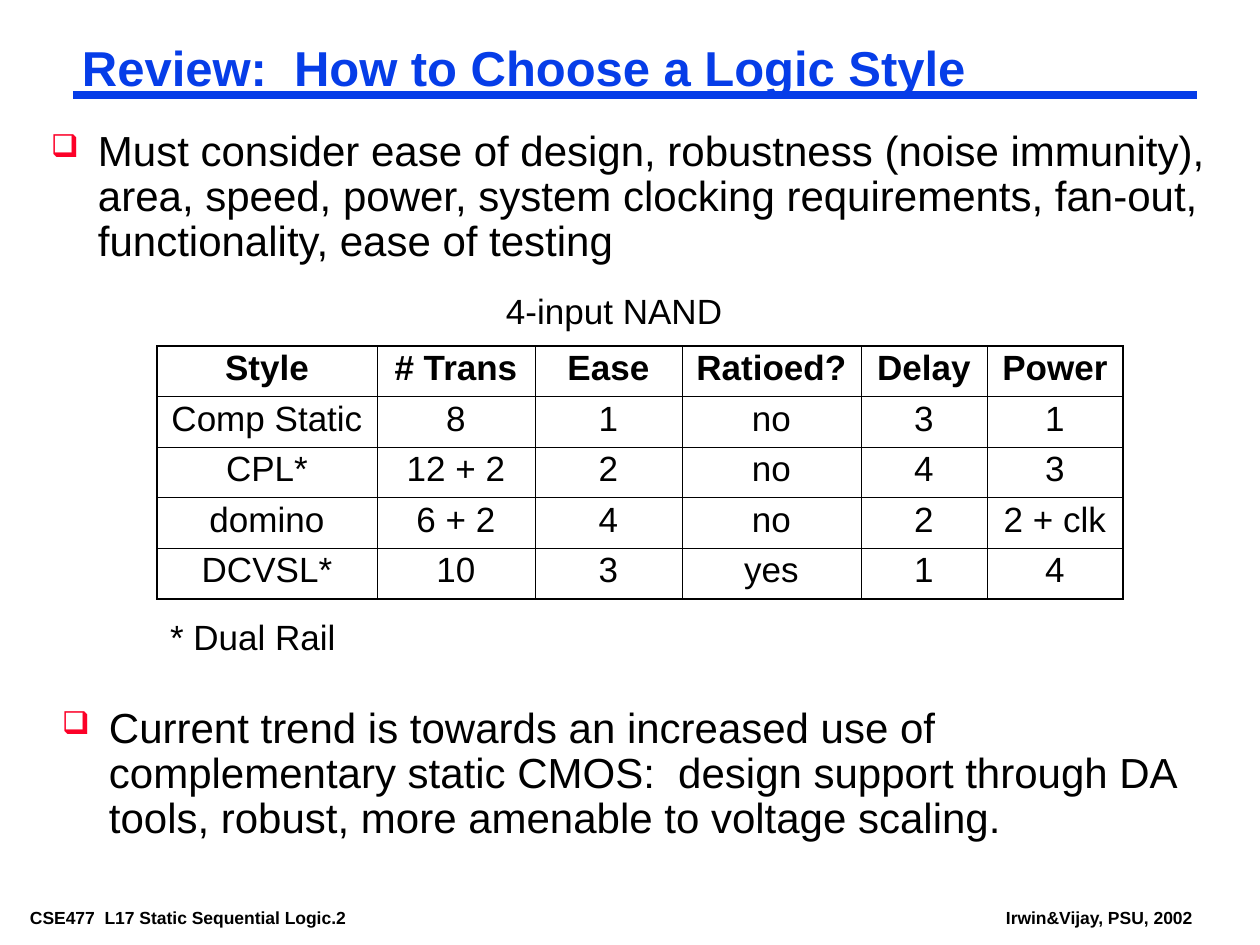
import pptx
import pptx.util
import pptx.dml.color
import pptx.enum.shapes
import pptx.enum.text
import pptx.oxml
import pptx.oxml.ns
import lxml.etree

SCALE = 914400 / 126
BLUE = "063DE8"
RED = "FC0128"
BLACK = "000000"


def color(value):
    return pptx.dml.color.RGBColor.from_string(value)


def fill_text(box, bounds, text, size, bold=False, ink=BLACK, inset=(9, 4), wrap=False, spacing=None, bullet=False):
    box.left, box.top, box.width, box.height = [round(value * SCALE) for value in bounds]
    frame = box.text_frame
    frame.word_wrap = wrap
    frame.auto_size = pptx.enum.text.MSO_AUTO_SIZE.SHAPE_TO_FIT_TEXT
    frame.vertical_anchor = pptx.enum.text.MSO_ANCHOR.TOP
    frame.margin_left = frame.margin_right = round(inset[0] * SCALE)
    frame.margin_top = frame.margin_bottom = round(inset[1] * SCALE)
    para = frame.paragraphs[0]
    para.text = text
    para.alignment = pptx.enum.text.PP_ALIGN.LEFT
    para.line_spacing = spacing
    para.font.name = "Arial"
    para.font.size = pptx.util.Pt(size)
    para.font.bold = bold
    para.font.color.rgb = color(ink)
    if bullet:
        para.space_before = pptx.util.Pt(19.5)
        properties = para._p.get_or_add_pPr()
        properties.set("marL", str(round(47 * SCALE)))
        properties.set("indent", str(round(-47 * SCALE)))
        namespace = pptx.oxml.ns.nsdecls("a")
        marks = [
            f'<a:buClr {namespace}><a:srgbClr val="{RED}"/></a:buClr>',
            f'<a:buSzPct {namespace} val="75000"/>',
            f'<a:buChar {namespace} char="❑"/>',
        ]
        position = properties.index(properties.find(pptx.oxml.ns.qn("a:defRPr")))
        for offset, mark in enumerate(marks):
            properties.insert(position + offset, pptx.oxml.parse_xml(mark))


deck = pptx.Presentation()
deck.slide_width = round(1260 * SCALE)
deck.slide_height = round(945 * SCALE)
page = deck.slides.add_slide(deck.slide_layouts[5])

footers = [
    ((21, 903, 408, 28), "CSE477  L17 Static Sequential Logic.2"),
    ((997, 903, 208, 28), "Irwin&Vijay, PSU, 2002"),
]
for bounds, text in footers:
    fill_text(page.shapes.add_textbox(0, 0, 0, 0), bounds, text, 10, bold=True)

rule = page.shapes.add_connector(
    pptx.enum.shapes.MSO_CONNECTOR.STRAIGHT,
    *[round(value * SCALE) for value in (73, 95, 1197, 95)])
rule.line.color.rgb = color(BLUE)
rule.line.width = pptx.util.Pt(4.5)
lxml.etree.SubElement(rule._element.spPr, pptx.oxml.ns.qn("a:effectLst"))

title = page.shapes.title
fill_text(title, (73, 42, 1124, 58), "Review:  How to Choose a Logic Style", 28,
          bold=True, ink=BLUE, wrap=True, spacing=0.87)
page.shapes._spTree.append(title._element)

points = [
    ((42, 126, 1176, 144), "Must consider ease of design, robustness (noise immunity), area, speed, power, "
     "system clocking requirements, fan-out, functionality, ease of testing"),
    ((53, 703, 1176, 144), "Current trend is towards an increased use of complementary static CMOS:  "
     "design support through DA tools, robust, more amenable to voltage scaling."),
]
for bounds, text in points:
    fill_text(page.shapes.add_textbox(0, 0, 0, 0), bounds, text, 24, wrap=True, spacing=0.9, bullet=True)

labels = [
    ((493, 283, 246, 55), "4-input NAND"),
    ((157, 609, 196, 55), "* Dual Rail"),
]
for bounds, text in labels:
    fill_text(page.shapes.add_textbox(0, 0, 0, 0), bounds, text, 20, inset=(13, 6))

rows = [
    ["Style", "# Trans", "Ease", "Ratioed?", "Delay", "Power"],
    ["Comp Static", "8", "1", "no", "3", "1"],
    ["CPL*", "12 + 2", "2", "no", "4", "3"],
    ["domino", "6 + 2", "4", "no", "2", "2 + clk"],
    ["DCVSL*", "10", "3", "yes", "1", "4"],
]
widths = [220, 158, 147, 179, 126, 136]
last_row = len(rows) - 1
last_column = len(widths) - 1
table = page.shapes.add_table(
    len(rows), len(widths),
    *[round(value * SCALE) for value in (157, 346, sum(widths), 253)]).table
table.first_row = False
table.horz_banding = False
for column, width in zip(table.columns, widths):
    column.width = round(width * SCALE)

for r, row in enumerate(rows):
    for c, text in enumerate(row):
        cell = table.cell(r, c)
        para = cell.text_frame.paragraphs[0]
        para.text = text
        para.alignment = pptx.enum.text.PP_ALIGN.CENTER
        para.line_spacing = 0.9
        para.space_before = pptx.util.Pt(16.2)
        para.font.name = "Arial"
        para.font.size = pptx.util.Pt(20)
        para.font.bold = r == 0
        para.font.color.rgb = color(BLACK)
        heavy_sides = {"lnL": c == 0, "lnR": c == last_column, "lnT": r <= 1, "lnB": r in (0, last_row)}
        for side, heavy in heavy_sides.items():
            line_width = pptx.util.Pt(1.08 if heavy else 0.45)
            cell._tc.get_or_add_tcPr().append(pptx.oxml.parse_xml(
                f'<a:{side} {pptx.oxml.ns.nsdecls("a")} w="{line_width}">'
                f'<a:solidFill><a:srgbClr val="{BLACK}"/></a:solidFill></a:{side}>'))
        cell.fill.background()

deck.save("out.pptx")
